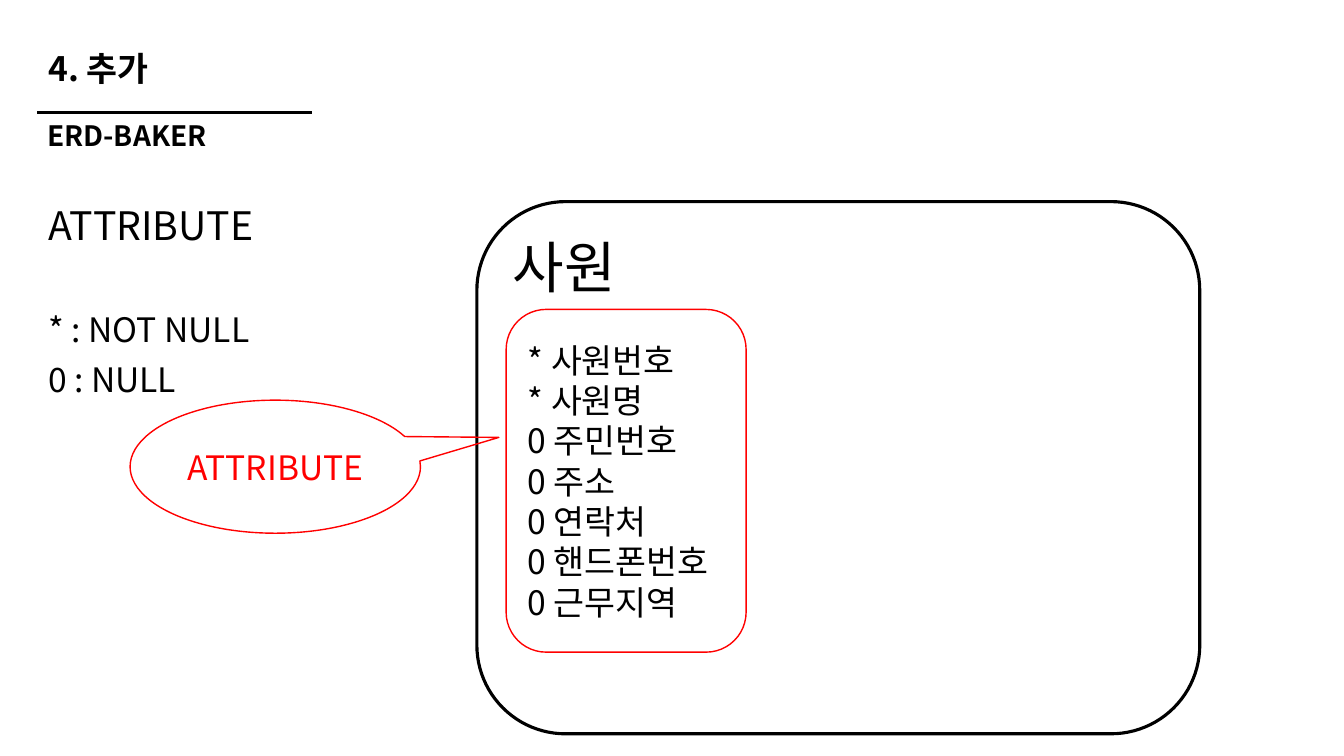
from dataclasses import dataclass

from lxml import etree
from pptx import Presentation
from pptx.dml.color import RGBColor
from pptx.enum.shapes import MSO_CONNECTOR, MSO_SHAPE
from pptx.enum.text import MSO_ANCHOR, PP_ALIGN
from pptx.oxml.ns import qn
from pptx.util import Inches, Pt

TOP, MIDDLE = MSO_ANCHOR.TOP, MSO_ANCHOR.MIDDLE
LEFT, CENTER = PP_ALIGN.LEFT, PP_ALIGN.CENTER
ROUNDED, CALLOUT = MSO_SHAPE.ROUNDED_RECTANGLE, MSO_SHAPE.OVAL_CALLOUT


@dataclass(frozen=True)
class Theme:
    font: str = "Noto Sans CJK KR"
    ink: RGBColor = RGBColor(0, 0, 0)
    accent: RGBColor = RGBColor(255, 0, 0)
    heading: int = 24
    subheading: int = 20
    topic: int = 28
    entity: int = 40
    body: int = 24
    thick: float = 2.25
    thin: float = 1


theme = Theme()


def write(box, lines, size, color, anchor=MIDDLE, align=LEFT, bold=False, spacing=1.0):
    frame = box.text_frame
    frame.word_wrap = True
    frame.vertical_anchor = anchor
    frame.text = "\n".join(lines)
    for para in frame.paragraphs:
        para.alignment = align
        para.line_spacing = spacing
        for span in para.runs:
            span.font.name = theme.font
            span.font.size = Pt(size)
            span.font.bold = bold
            span.font.color.rgb = color
            # Korean letters take the East Asian typeface
            east_asian = etree.Element(qn("a:ea"), typeface=theme.font)
            span.font._element.find(qn("a:latin")).addnext(east_asian)
    return frame


def add_outline(kind, left, top, width, height, color, weight):
    shape = page.shapes.add_shape(kind, Inches(left), Inches(top), Inches(width), Inches(height))
    shape.shadow.inherit = False
    shape.fill.background()
    shape.line.color.rgb = color
    shape.line.width = Pt(weight)
    return shape


deck = Presentation()
deck.slide_width, deck.slide_height = Inches(13.33), Inches(7.5)
page = deck.slides.add_slide(deck.slide_layouts[6])

# Title and subtitle
headings = [
    ("4. 추가", theme.heading, 0.38, 0.31, 4.35, 0.79),
    ("ERD-BAKER", theme.subheading, 0.37, 1.13, 2.59, 0.47),
]
for text, size, left, top, width, height in headings:
    box = page.shapes.add_textbox(Inches(left), Inches(top), Inches(width), Inches(height))
    write(box, [text], size, theme.ink, bold=True, spacing=0.9)

# Rule between them
rule = page.shapes.add_connector(
    MSO_CONNECTOR.STRAIGHT, Inches(0.37), Inches(1.12), Inches(3.09), Inches(1.12))
rule.line.color.rgb = theme.ink
rule.line.width = Pt(theme.thick)
etree.SubElement(rule._element.spPr, qn("a:effectLst"))

# Topic and legend of the marks
legend = page.shapes.add_textbox(Inches(0.38), Inches(2), Inches(4.3), Inches(2.1))
frame = write(legend, ["ATTRIBUTE", "* : NOT NULL", "0 : NULL"], theme.body, theme.ink,
              anchor=TOP, spacing=0.9)
topic, not_null, null = frame.paragraphs
topic.runs[0].font.size = Pt(theme.topic)
not_null.space_before = Pt(46)
null.space_before = Pt(10)

# Employee entity
entity = add_outline(ROUNDED, 4.73, 2, 7.17, 5.28, theme.ink, theme.thick)
write(entity, ["사원"], theme.entity, theme.ink, anchor=TOP)

# Its attributes
attributes = add_outline(ROUNDED, 5.02, 3.07, 2.38, 3.4, theme.accent, theme.thin)
fields = ["* 사원번호", "* 사원명", "0 주민번호", "0 주소", "0 연락처", "0 핸드폰번호", "0 근무지역"]
write(attributes, fields, theme.body, theme.ink)

# Callout pointing at the attributes
callout = add_outline(CALLOUT, 1.29, 3.97, 2.88, 1.32, theme.accent, theme.thin)
callout.adjustments[0] = 0.77
callout.adjustments[1] = -0.22
write(callout, ["ATTRIBUTE"], theme.body, theme.accent, align=CENTER)

deck.save("out.pptx")
